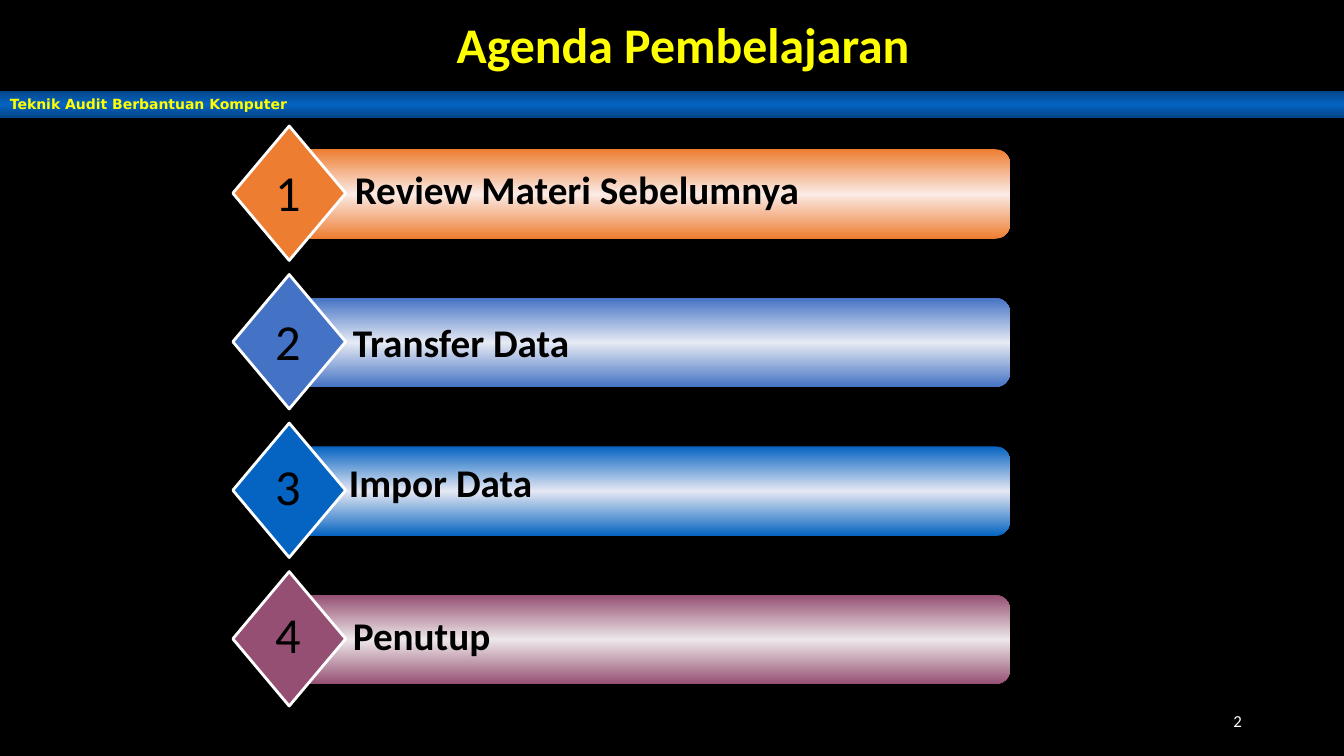
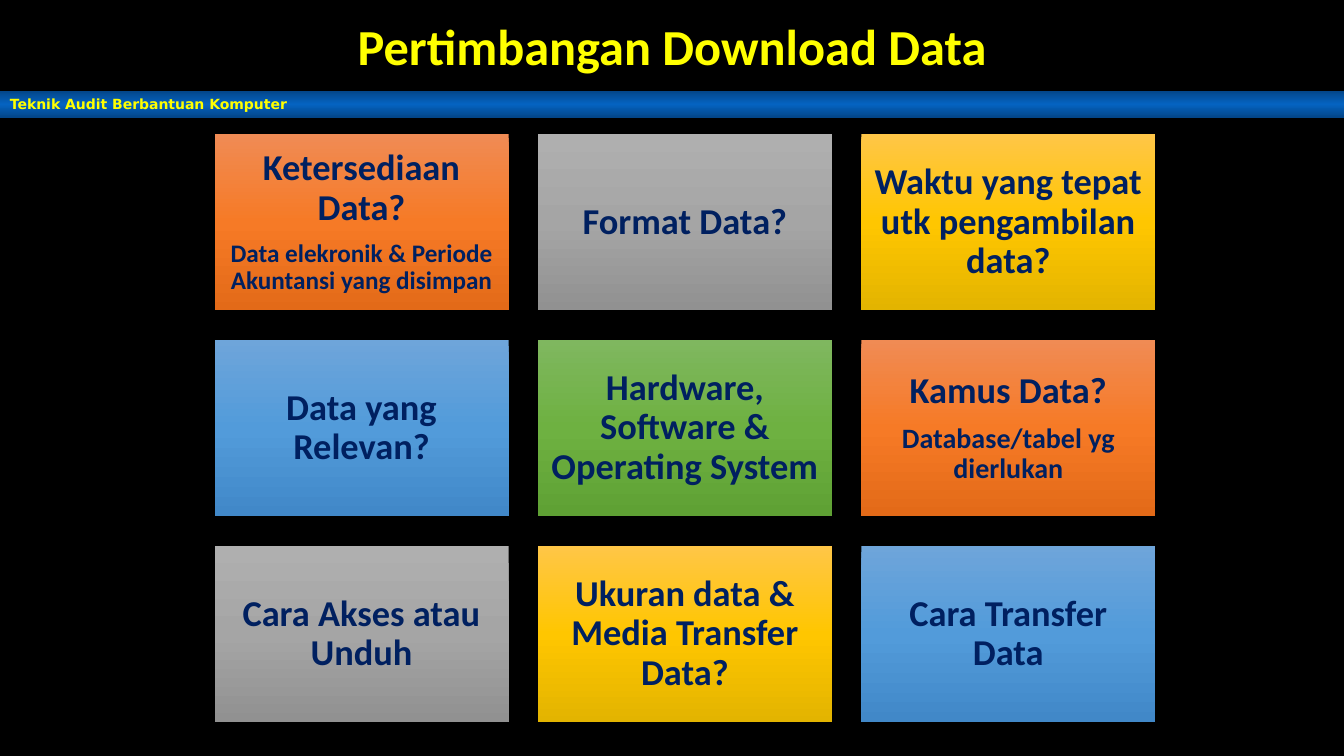
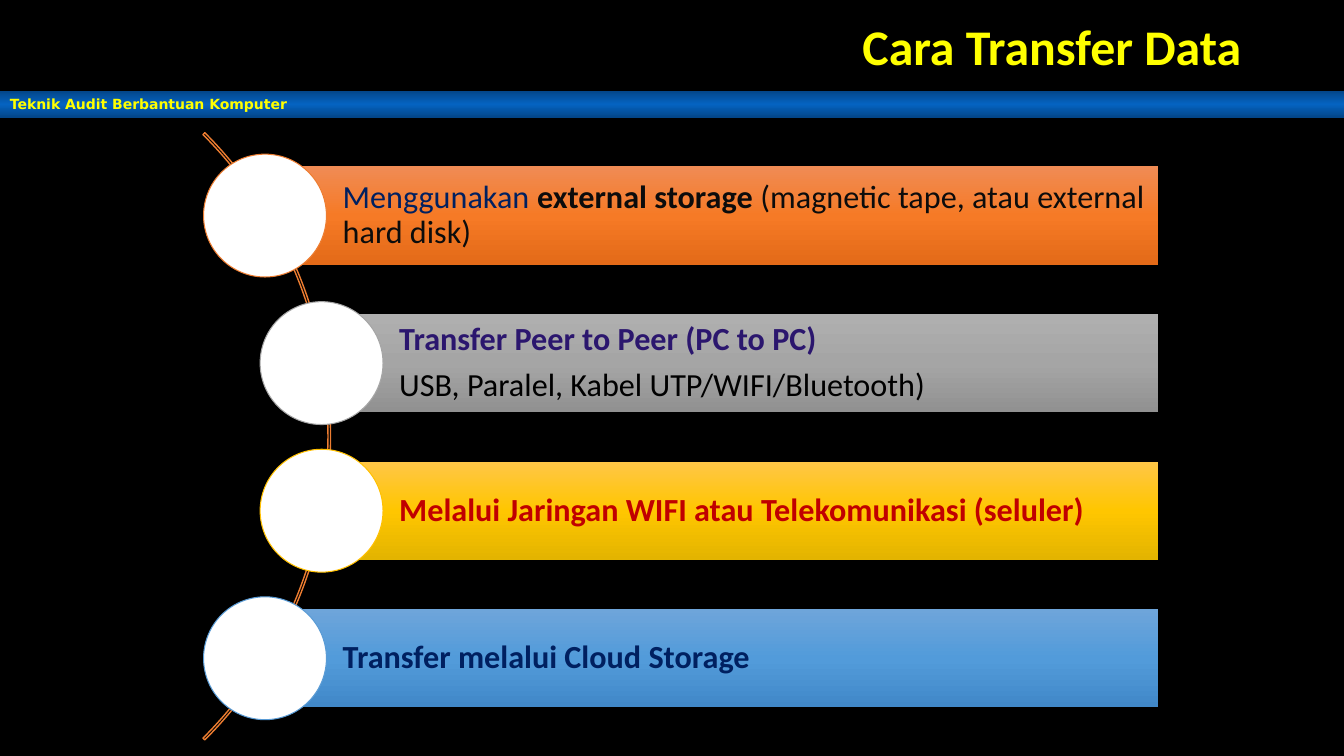
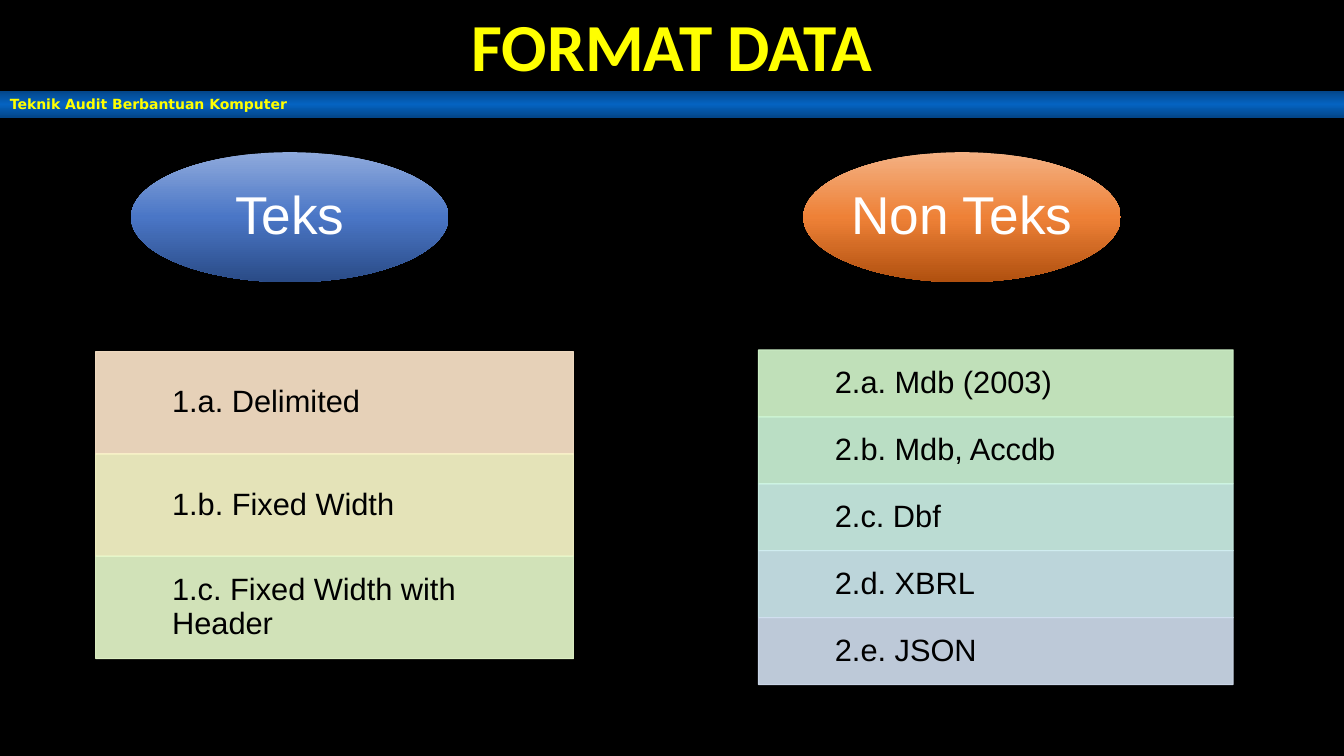
from copy import deepcopy
from dataclasses import dataclass

from lxml import etree
from pptx import Presentation
from pptx.dml.color import RGBColor
from pptx.enum import shapes, text
from pptx.oxml import ns
from pptx.util import Pt

COLORS = {
    "black": "000000", "white": "FFFFFF", "yellow": "FFFF00",
    "navy": "002060", "ink": "0C0C0C", "violet": "2B166E", "red": "C00000",
    "orange": "ED7D31", "gray": "A5A5A5", "gold": "FFC000", "sky": "599BD5",
    "indigo": "4472C4", "blue": "0563C1", "plum": "954F72",
    "peach": "FFE8CC", "cream": "FDFCCD", "lime": "E8FBCD",
    "mint": "D5F9CE", "jade": "CFF7DA", "aqua": "D0F4EA",
    "ice": "D1EDF2", "mist": "D2DFF0",
}
GRADIENTS = {
    "band": ("034587", "0563C1", "034587"),
    "orange": ("F08B54", "F67A26", "E36A18"),
    "gray": ("AFAFAF", "A5A5A5", "919191"),
    "gold": ("FFC647", "FFC600", "E3B400"),
    "sky": ("6EA5DA", "529BDA", "4188C8"),
    "green": ("7FB75F", "6EB141", "5FA134"),
    "orange bar": ("ED7D31", "FBEBE6", "ED7D31"),
    "indigo bar": ("4472C4", "E6EAF4", "4472C4"),
    "blue bar": ("0563C1", "E5E8F3", "0563C1"),
    "plum bar": ("954F72", "EDE7EA", "954F72"),
    "indigo oval": ("8FAADC", "4A76C6", "2A4B86"),
    "orange oval": ("F4B183", "EE8137", "B0500F"),
}
KIND = shapes.MSO_SHAPE
LEFT, CENTER, RIGHT = text.PP_ALIGN.LEFT, text.PP_ALIGN.CENTER, text.PP_ALIGN.RIGHT


def rgb(name):
    return RGBColor.from_string(COLORS[name])


@dataclass
class Line:
    content: object
    size: float
    color: str = "black"
    bold: bool = False
    font: str = "Calibri"
    align: object = LEFT
    spacing: float = 0.9
    before: float = 0


class Deck:
    def __init__(self):
        self.deck = Presentation()
        self.deck.slide_width, self.deck.slide_height = Pt(960), Pt(540)
        background = self.deck.slide_master.background.fill
        background.solid()
        background.fore_color.rgb = rgb("black")
        self.page = None

    def add_page(self, title, size=36, align=CENTER, place=(66.2, 10.8, 828, 49)):
        self.page = self.deck.slides.add_slide(self.deck.slide_layouts[5])
        heading = self.page.shapes.title
        heading.left, heading.top, heading.width, heading.height = map(Pt, place)
        self.set_text(heading, [Line(title, size, "yellow", True, align=align)])
        band = self.add_shape(KIND.RECTANGLE, (0, 64.8, 960, 19.4), gradient="band")
        self.set_text(band, [Line("Teknik Audit Berbantuan Komputer", 10, "yellow", True,
                                  "DejaVu Sans", spacing=1)], (7.2, 0, 7.2, 0))

    def set_text(self, box, lines, insets=(7.2, 3.6, 7.2, 3.6), wrap=True):
        frame = box.text_frame
        frame.word_wrap = wrap
        frame.auto_size = text.MSO_AUTO_SIZE.NONE
        frame.vertical_anchor = text.MSO_ANCHOR.MIDDLE
        (frame.margin_left, frame.margin_top,
         frame.margin_right, frame.margin_bottom) = map(Pt, insets)
        for index, line in enumerate(lines):
            para = frame.add_paragraph() if index else frame.paragraphs[0]
            para.alignment = line.align
            para.line_spacing = line.spacing
            para.space_before = Pt(line.before)
            para.font.name, para.font.size = line.font, Pt(line.size)
            if isinstance(line.content, str):
                para.text = line.content
                para.font.bold = line.bold
                para.font.color.rgb = rgb(line.color)
            else:
                for words, color, bold in line.content:
                    span = para.add_run()
                    span.text = words
                    span.font.bold = bold
                    span.font.color.rgb = rgb(color)

    def add_text(self, place, lines):
        self.set_text(self.page.shapes.add_textbox(*map(Pt, place)), lines)

    def add_shape(self, kind, place, fill=None, gradient=None, line=None, width=0.75, alpha=None):
        shape = self.page.shapes.add_shape(kind, *map(Pt, place))
        shape.shadow.inherit = False
        if gradient:
            self.shade(shape, GRADIENTS[gradient])
        elif fill:
            shape.fill.solid()
            shape.fill.fore_color.rgb = rgb(fill)
        else:
            shape.fill.background()
        if line:
            shape.line.color.rgb = rgb(line)
            shape.line.width = Pt(width)
        else:
            shape.line.fill.background()
        if alpha:
            for color in list(shape._element.spPr.iter(ns.qn("a:srgbClr"))):
                etree.SubElement(color, ns.qn("a:alpha"), val=str(alpha * 1000))
        return shape

    def shade(self, shape, hues):
        shape.fill.gradient()
        shape.fill.gradient_angle = 270
        stops = next(shape._element.spPr.iter(ns.qn("a:gsLst")))
        stops.append(deepcopy(stops[-1]))
        for index, (stop, hue) in enumerate(zip(shape.fill.gradient_stops, hues)):
            stop.color.rgb = RGBColor.from_string(hue)
            stop.position = index / 2


def agenda(deck):
    deck.add_page("Agenda Pembelajaran", 35.6, place=(166.3, 13, 643.7, 41.8))
    deck.add_text((678.2, 500.4, 216, 28.8), [Line("2", 12, "white", align=RIGHT, spacing=1)])
    topics = [
        ("Review Materi Sebelumnya", "orange", 39.3, 3.6, 1.4),
        ("Transfer Data", "indigo", 37.9, 0.7, 0.7),
        ("Impor Data", "blue", 35.1, 6.5, 3.6),
        ("Penutup", "plum", 37.9, 3.6, 3.6),
    ]
    for index, (topic, color, indent, topic_rise, number_rise) in enumerate(topics):
        top = 90 + 106.1 * index
        bar = deck.add_shape(KIND.ROUNDED_RECTANGLE, (211, top + 16.6, 510.5, 64),
                             gradient=color + " bar")
        deck.set_text(bar, [Line(topic, 28, bold=True, spacing=1)], (indent, 0, 0, 2 * topic_rise))
        diamond = deck.add_shape(KIND.DIAMOND, (166.3, top, 80.6, 96), color,
                                 line="white", width=2)
        deck.set_text(diamond, [Line(str(index + 1), 36, align=CENTER, spacing=1)],
                      (0, 0, 2, 2 * number_rise), wrap=False)


def considerations(deck):
    deck.add_page("Pertimbangan Download Data")
    cards = [
        ("orange", "Ketersediaan Data?", "Data elekronik & Periode Akuntansi yang disimpan", 18),
        ("gray", "Format Data?", None, 0),
        ("gold", "Waktu yang tepat utk pengambilan data?", None, 0),
        ("sky", "Data yang Relevan?", None, 0),
        ("green", "Hardware, Software & Operating System", None, 0),
        ("orange", "Kamus Data?", "Database/tabel yg dierlukan", 20),
        ("gray", "Cara Akses atau Unduh", None, 0),
        ("gold", "Ukuran data &\nMedia Transfer Data?", None, 0),
        ("sky", "Cara Transfer Data", None, 0),
    ]
    width, height, gap = 210, 126, 21
    for index, (color, question, detail, size) in enumerate(cards):
        row, column = divmod(index, 3)
        card = deck.add_shape(KIND.RECTANGLE, (153.3 + column * (width + gap),
                                               95.8 + row * (height + gap), width, height),
                              gradient=color)
        lines = [Line(question, 26, "navy", True, align=CENTER)]
        if detail:
            lines.append(Line(detail, size, "navy", True, align=CENTER, before=9.1))
        deck.set_text(card, lines, (7.9,) * 4)


def transfer(deck):
    deck.add_page("Cara Transfer Data", 35.6, RIGHT)
    arc = deck.add_shape(KIND.BLOCK_ARC, (-377.3, 5, 613.4, 613.4), line="orange", width=1)
    for index, value in enumerate((189, 27, 0.003)):
        arc.adjustments[index] = value
    storage = [("Menggunakan ", "navy", False), ("external storage ", "ink", True),
               ("(magnetic tape, atau external hard disk)", "ink", False)]
    methods = [
        ("orange", 189.3, [Line(storage, 23)]),
        ("gray", 229.7, [Line("Transfer Peer to Peer (PC to PC)", 23, "violet", True),
                         Line("USB, Paralel, Kabel UTP/WIFI/Bluetooth)", 23, before=8.1)]),
        ("gold", 229.7, [Line("Melalui Jaringan WIFI atau Telekomunikasi (seluler)",
                              23, "red", True)]),
        ("sky", 189.3, [Line("Transfer melalui Cloud Storage", 23, "navy", True)]),
    ]
    height, diameter = 70.2, 87.8
    for index, (color, left, lines) in enumerate(methods):
        top = 118.9 + 105.4 * index
        bar = deck.add_shape(KIND.RECTANGLE, (left, top, 827.3 - left, height), gradient=color)
        deck.set_text(bar, lines, (55.5, 4.3, 4.3, 4.3))
        deck.add_shape(KIND.OVAL, (left - diameter / 2, top + (height - diameter) / 2,
                                   diameter, diameter), "white", line=color)


def formats(deck):
    deck.add_page("FORMAT DATA", 48)
    groups = [
        ("Teks", "indigo oval", 93.6, (68.4, 251.1, 341.3, 73.1),
         [("1.a. Delimited", "peach"), ("1.b. Fixed Width", "cream"),
          ("1.c. Fixed Width with Header", "lime")]),
        ("Non Teks", "orange oval", 573.8, (541.8, 250, 339.1, 47.8),
         [("2.a. Mdb (2003)", "mint"), ("2.b. Mdb, Accdb", "jade"), ("2.c. Dbf", "aqua"),
          ("2.d. XBRL", "ice"), ("2.e. JSON", "mist")]),
    ]
    for name, gradient, oval_left, (left, top, width, height), rows in groups:
        for index, (label, color) in enumerate(rows):
            row = deck.add_shape(KIND.RECTANGLE, (left, top + index * height, width, height),
                                 color, line=color, alpha=90)
            deck.set_text(row, [Line(label, 22, font="Arial")], (54.6, 0, 12.2, 0))
        oval = deck.add_shape(KIND.OVAL, (oval_left, 108.7, 226.8, 92.9), gradient=gradient)
        deck.set_text(oval, [Line(name, 38, "white", font="Arial", align=CENTER)],
                      (0,) * 4, wrap=False)


def main():
    deck = Deck()
    for build in (agenda, considerations, transfer, formats):
        build(deck)
    deck.deck.save("out.pptx")


if __name__ == "__main__":
    main()
